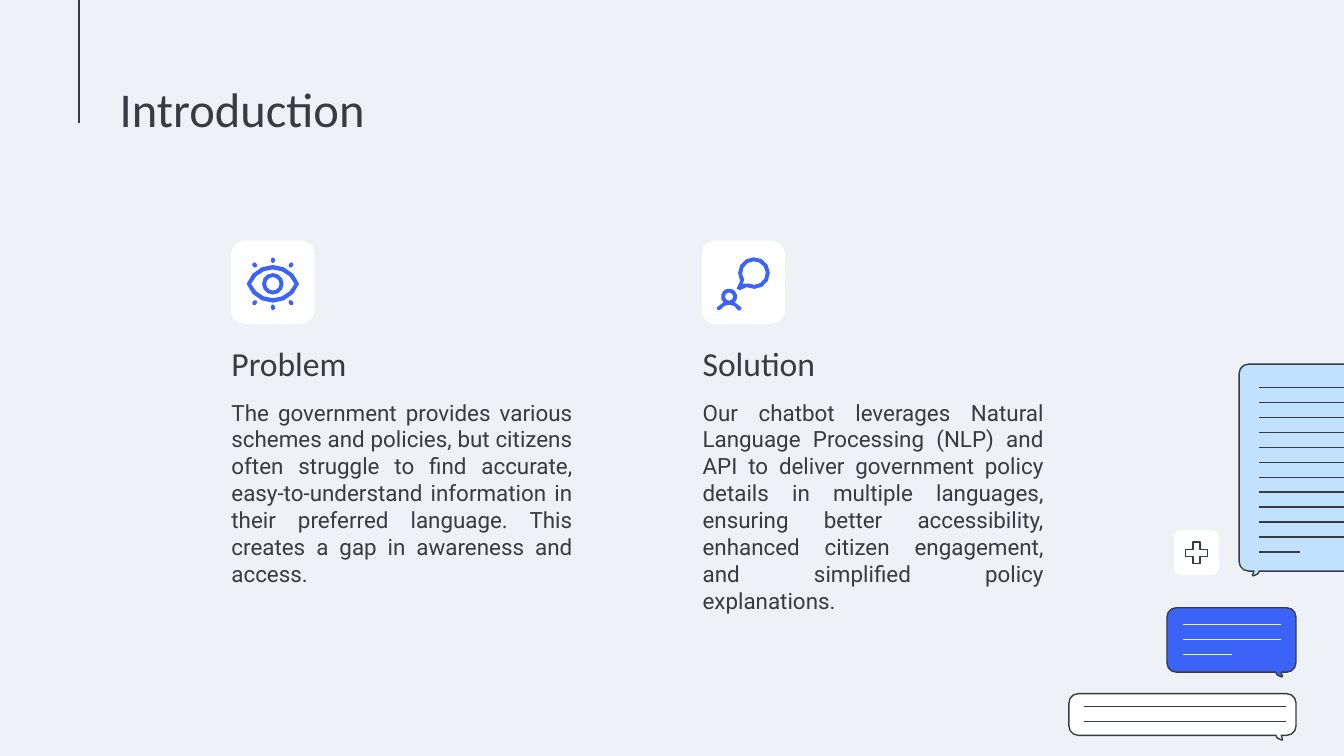
import math
from dataclasses import dataclass

import pptx
import pptx.dml.color
import pptx.enum.shapes
import pptx.enum.text
import pptx.oxml.ns
import pptx.util
from lxml import etree

COLORS = {
    "background": "EEF1F5",
    "ink": "373B42",
    "white": "FFFFFF",
    "sky": "C0E1FF",
    "blue": "3B63F8",
}
WIDTH, HEIGHT = pptx.util.Inches(10), pptx.util.Inches(5.625)
CELL = WIDTH / 100  # the slide is a grid of 100 square columns
TEXT_LEFT, TEXT_STEP, TEXT_WIDTH = 16.22, 35.06, 27.4
CARD_LEFT, CARD_STEP, CARD_SIZE = 17.2, 35, 6.2
LINE_PITCH = 1.11

SHAPE = pptx.enum.shapes.MSO_SHAPE
ANCHOR = pptx.enum.text.MSO_ANCHOR
ALIGN = pptx.enum.text.PP_ALIGN
Point = tuple[float, float]


@dataclass
class Column:
    heading: str
    body: str


@dataclass
class Bubble:
    left: float
    top: float
    width: float
    height: float
    fill: str
    line: str
    tail_right: bool
    text_left: float
    text_top: float
    line_lengths: list[float]


COLUMNS = [
    Column("Problem",
           "The government provides various schemes and policies, but citizens often struggle "
           "to find accurate, easy-to-understand information in their preferred language. "
           "This creates a gap in awareness and access."),
    Column("Solution",
           "Our chatbot leverages Natural Language Processing (NLP) and API to deliver government "
           "policy details in multiple languages, ensuring better accessibility, enhanced citizen "
           "engagement, and simplified policy explanations."),
]
BUBBLES = [
    Bubble(79.53, 51.62, 16.9, 3.1, "white", "ink", True, 80.65, 52.57, [15] * 2),
    Bubble(92.2, 27.1, 9.6, 15.4, "sky", "ink", False, 93.7, 28.85, [6.6] * 11 + [3]),
    Bubble(86.83, 45.22, 9.6, 4.8, "blue", "background", True, 88, 46.46, [7.3, 7.3, 3.7]),
]


def grid(cells: float) -> int:
    return round(cells * CELL)


def rgb(name: str) -> pptx.dml.color.RGBColor:
    return pptx.dml.color.RGBColor.from_string(COLORS[name])


def style(sp, fill: str, line: str | None = None) -> None:
    sp.shadow.inherit = False
    sp.fill.solid()
    sp.fill.fore_color.rgb = rgb(fill)
    if line:
        sp.line.color.rgb = rgb(line)
        sp.line.width = pptx.util.Pt(0.75)
    else:
        sp.line.fill.background()


def add_preset(s, kind, left: float, top: float, size: float, line: str | None = None) -> None:
    sp = s.shapes.add_shape(kind, *map(grid, (left, top, size, size)))
    style(sp, "white", line)


def add_line(s, x1: float, y1: float, x2: float, y2: float, color: str) -> None:
    kind = pptx.enum.shapes.MSO_CONNECTOR.STRAIGHT
    cx = s.shapes.add_connector(kind, *map(grid, (x1, y1, x2, y2)))
    cx.line.color.rgb = rgb(color)
    cx.line.width = pptx.util.Pt(0.75)
    etree.SubElement(cx._element.spPr, pptx.oxml.ns.qn("a:effectLst"))


def arc(cx: float, cy: float, r: float, start: float, end: float, step: float = 30) -> list[Point]:
    """Points on a circular arc; degrees run clockwise from the right."""
    steps = max(2, round(abs(end - start) / step))
    angles = [math.radians(start + (end - start) * i / steps) for i in range(steps + 1)]
    return [(cx + r * math.cos(a), cy + r * math.sin(a)) for a in angles]


def circle(cx: float, cy: float, r: float) -> list[Point]:
    return arc(cx, cy, r, 0, 330)


def lens(cx: float, cy: float, a: float, b: float) -> list[Point]:
    """An eye outline, made of two circular arcs of half width a and height b."""
    r = (a * a + b * b) / (2 * b)
    half = math.degrees(math.asin(a / r))
    return (arc(cx, cy + r - b, r, 270 - half, 270 + half, 24)
            + arc(cx, cy - r + b, r, 90 - half, 90 + half, 24)[1:-1])


def ray(cx: float, cy: float, turn: float) -> list[Point]:
    """A short upright capsule, turned clockwise."""
    t = math.radians(turn)
    return [(cx + 1.0 * x * math.cos(t) - y * math.sin(t), cy + x * math.sin(t) + y * math.cos(t))
            for x, y in [(0, -0.22), (0.15, -0.1), (0.15, 0.1), (0, 0.22), (-0.15, 0.1), (-0.15, -0.1)]]


def add_outline(s, contours: list[list[Point]], fill: str, line: str | None = None) -> None:
    paths = [[(grid(x), grid(y)) for x, y in c] for c in contours]
    fb = s.shapes.build_freeform(*paths[0][0])
    for i, path in enumerate(paths):
        if i:
            fb.move_to(*path[0])
        fb.add_line_segments(path[1:], close=True)
    style(fb.convert_to_shape(), fill, line)


def add_bubble(s, b: Bubble) -> None:
    w, h, r = b.width, b.height, 0.7
    outline = (arc(r, r, r, 180, 270) + arc(w - r, r, r, 270, 360) + arc(w - r, h - r, r, 0, 90)
               + [(1.5, h), (1.4, h + 0.2), (1.1, h + 0.34), (1, h + 0.34), (1.1, h)]
               + arc(r, h - r, r, 90, 180))
    add_outline(s, [[(b.left + (w - x if b.tail_right else x), b.top + y) for x, y in outline]],
                b.fill, "ink")
    for i, length in enumerate(b.line_lengths):
        y = b.text_top + i * LINE_PITCH
        add_line(s, b.text_left, y, b.text_left + length, y, b.line)


def add_eye_icon(s, cx: float, cy: float) -> None:
    contours = [lens(cx, cy, 1.95, 1.4), lens(cx, cy, 1.62, 1.07),
                circle(cx, cy, 0.8), circle(cx, cy, 0.5)]
    for side in (-1, 0, 1):
        for end in (-1, 1):
            y = 1.4 if side else 1.75
            contours.append(ray(cx + side * 1.35, cy + end * y, -side * end * 35))
    add_outline(s, contours, "blue")


def add_chat_icon(s, cx: float, cy: float) -> None:
    bx, by = cx + 0.8, cy - 0.8
    hx, hy = cx - 1.05, cy + 0.95
    speech = arc(bx, by, 1.18, 150, 478) + [(bx - 1.05, by + 1.28), (bx - 1.3, by + 1.15)]
    speech_hole = arc(bx, by, 0.88, 145, 478) + [(bx - 0.85, by + 0.8)]
    person = (arc(hx, hy, 0.6, 135, 405)
              + [(hx + 0.92, hy + 0.82), (hx + 0.85, hy + 1.02), (hx + 0.65, hy + 1.02)]
              + arc(hx, hy + 1.32, 0.72, 330, 210)
              + [(hx - 0.85, hy + 1.02), (hx - 0.92, hy + 0.82)])
    add_outline(s, [speech, speech_hole, person, circle(hx, hy, 0.3)], "blue")


def fill_placeholder(ph, text: str, box: tuple[float, float, float, float], font: str,
                     size: float, anchor=ANCHOR.TOP, align=ALIGN.LEFT) -> None:
    ph.left, ph.top, ph.width, ph.height = map(grid, box)
    tf = ph.text_frame
    tf.text = text
    tf.word_wrap = True
    tf.auto_size = pptx.enum.text.MSO_AUTO_SIZE.NONE
    tf.vertical_anchor = anchor
    tf.margin_left = tf.margin_right = tf.margin_top = tf.margin_bottom = grid(1)
    p = tf.paragraphs[0]
    p.alignment = align
    p.space_before = pptx.util.Pt(0)
    pPr = p._p.get_or_add_pPr()
    pPr.set("marL", "0")
    pPr.set("indent", "0")
    etree.SubElement(pPr, pptx.oxml.ns.qn("a:buNone"))
    r = p.runs[0]
    r.font.name, r.font.size, r.font.bold = font, pptx.util.Pt(size), False
    r.font.color.rgb = rgb("ink")


def main() -> None:
    prs = pptx.Presentation()
    prs.slide_width, prs.slide_height = WIDTH, HEIGHT
    s = prs.slides.add_slide(prs.slide_layouts.get_by_name("Comparison"))
    s.background.fill.solid()
    s.background.fill.fore_color.rgb = rgb("background")

    add_line(s, 5.87, -2.4, 5.87, 9.15, "ink")
    chat = s.shapes.add_group_shape()
    for bubble in BUBBLES:
        add_bubble(chat, bubble)
    button = s.shapes.add_group_shape()
    add_preset(button, SHAPE.ROUNDED_RECTANGLE, 87.35, 39.45, 3.35)
    add_preset(button, SHAPE.MATH_PLUS, 87.92, 40.03, 2.2, "ink")

    fill_placeholder(s.shapes.title, "Introduction", (7.9, 4.9, 84.3, 6.3), "Calibri", 26)
    for i, (column, add_icon) in enumerate(zip(COLUMNS, (add_eye_icon, add_chat_icon))):
        left, card = TEXT_LEFT + i * TEXT_STEP, CARD_LEFT + i * CARD_STEP
        heading, body = s.placeholders[2 * i + 1], s.placeholders[2 * i + 2]
        fill_placeholder(heading, column.heading, (left, 24.25, TEXT_WIDTH, 5.3),
                         "Calibri", 18, anchor=ANCHOR.BOTTOM)
        fill_placeholder(body, column.body, (left, 28.66, TEXT_WIDTH, 19.2),
                         "Roboto", 12, align=ALIGN.JUSTIFY)
        add_preset(s, SHAPE.ROUNDED_RECTANGLE, card, 17.9, CARD_SIZE)
        add_icon(s, card + CARD_SIZE / 2, 21.12)
    prs.save("out.pptx")


if __name__ == "__main__":
    main()
